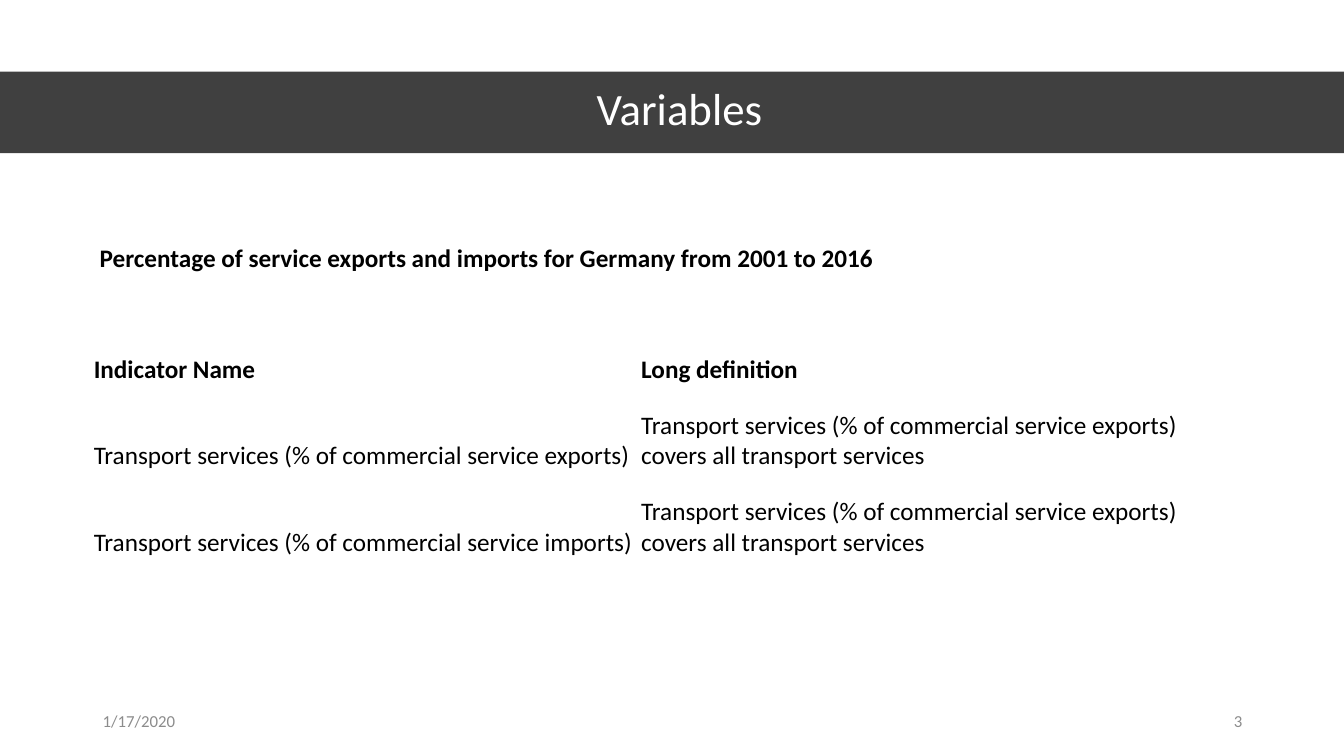
import pptx
import pptx.dml.color
import pptx.enum.shapes
import pptx.enum.text
import pptx.oxml.ns
import pptx.util
import lxml.etree

WIDTH, HEIGHT = 13.33, 7.5
COLOURS = {"black": "000000", "white": "FFFFFF", "grey": "8C8C8C"}
FONT = "Calibri"
ALIGN = pptx.enum.text.PP_ALIGN
ANCHOR = pptx.enum.text.MSO_ANCHOR
DEFINITION = "Transport services (% of commercial service exports) covers all transport services"
ROWS = [
    ("Indicator Name", "Long definition"),
    ("Transport services (% of commercial service exports)", DEFINITION),
    ("Transport services (% of commercial service imports)", DEFINITION),
]


def place(*lengths):
    """Turn inches into slide lengths."""
    return [pptx.util.Inches(length) for length in lengths]


def colour(name):
    """Look up a named colour."""
    return pptx.dml.color.RGBColor.from_string(COLOURS[name])


def write(frame, text, size, shade, bold=False, align=ALIGN.LEFT, anchor=ANCHOR.MIDDLE):
    """Put one formatted run into a text frame and return its paragraph."""
    frame.vertical_anchor = anchor
    para = frame.paragraphs[0]
    para.alignment = align
    span = para.add_run()
    span.text = text
    span.font.name = FONT
    span.font.size = pptx.util.Pt(size)
    span.font.bold = bold
    span.font.color.rgb = colour(shade)
    return para


def add_band(page, top, height):
    """Draw the translucent band behind the title."""
    band = page.shapes.add_shape(
        pptx.enum.shapes.MSO_SHAPE.RECTANGLE, *place(0, top, WIDTH, height))
    band.shadow.inherit = False
    band.fill.solid()
    band.fill.fore_color.rgb = colour("black")
    band.line.fill.background()
    shade = band.fill._xPr.find(".//" + pptx.oxml.ns.qn("a:srgbClr"))
    lxml.etree.SubElement(shade, pptx.oxml.ns.qn("a:alpha"), val="75000")
    page.shapes._spTree.insert(2, band._element)


def add_title(page, text):
    """Move and fill the title placeholder."""
    title = page.shapes.title
    title.left, title.top, title.width, title.height = place(0.61, 0.7, 12.26, 0.81)
    para = write(title.text_frame, text, 32, "white", align=ALIGN.CENTER)
    para.line_spacing = 0.9


def add_footer(page, left, text, align):
    """Add one footer entry."""
    box = page.shapes.add_textbox(*place(left, 6.95, 3, 0.4))
    box.text_frame.word_wrap = True
    para = write(box.text_frame, text, 12, "grey", align=align)
    para.space_after = pptx.util.Pt(6)


def add_subtitle(page, text):
    """Add the bold heading above the table."""
    box = page.shapes.add_textbox(*place(0.89, 2.36, 7.94, 0.4))
    box.text_frame.word_wrap = False
    box.text_frame.auto_size = pptx.enum.text.MSO_AUTO_SIZE.SHAPE_TO_FIT_TEXT
    write(box.text_frame, text, 18, "black", bold=True, anchor=ANCHOR.TOP)


def add_definitions(page, rows, widths, heights):
    """Add the table of indicators, with a bold first row."""
    table = page.shapes.add_table(
        len(rows), len(widths), *place(0.92, 3.16, sum(widths), sum(heights))).table
    table.horz_banding = False
    table.first_row = False
    for column, width in zip(table.columns, place(*widths)):
        column.width = width
    for line, height in zip(table.rows, place(*heights)):
        line.height = height
    for row, texts in enumerate(rows):
        for column, text in enumerate(texts):
            cell = table.cell(row, column)
            cell.fill.background()
            cell.margin_left = cell.margin_right = cell.margin_top = pptx.util.Inches(0.01)
            cell.margin_bottom = 0
            cell.vertical_anchor = ANCHOR.BOTTOM
            write(cell.text_frame, text, 18, "black", bold=row == 0, anchor=ANCHOR.BOTTOM)


def main():
    """Build and save the slide."""
    deck = pptx.Presentation()
    deck.slide_width, deck.slide_height = place(WIDTH, HEIGHT)
    page = deck.slides.add_slide(deck.slide_layouts.get_by_name("Title Only"))
    add_band(page, 0.71, 0.81)
    add_title(page, "Variables")
    add_footer(page, 0.92, "1/17/2020", ALIGN.LEFT)
    add_footer(page, 9.42, "3", ALIGN.RIGHT)
    add_definitions(page, ROWS, [5.43, 5.65], [0.66, 0.86, 0.86])
    add_subtitle(page, "Percentage of service exports and imports for Germany from 2001 to 2016")
    deck.save("out.pptx")


main()
